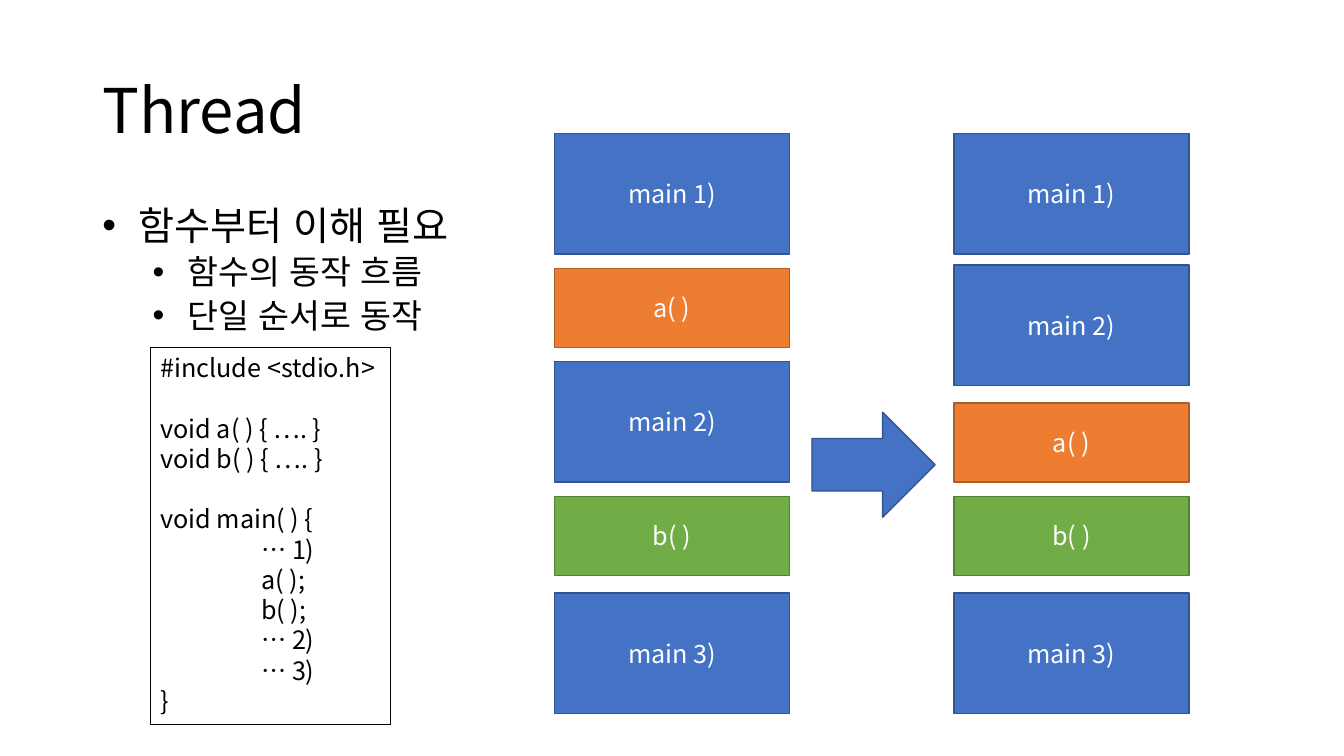
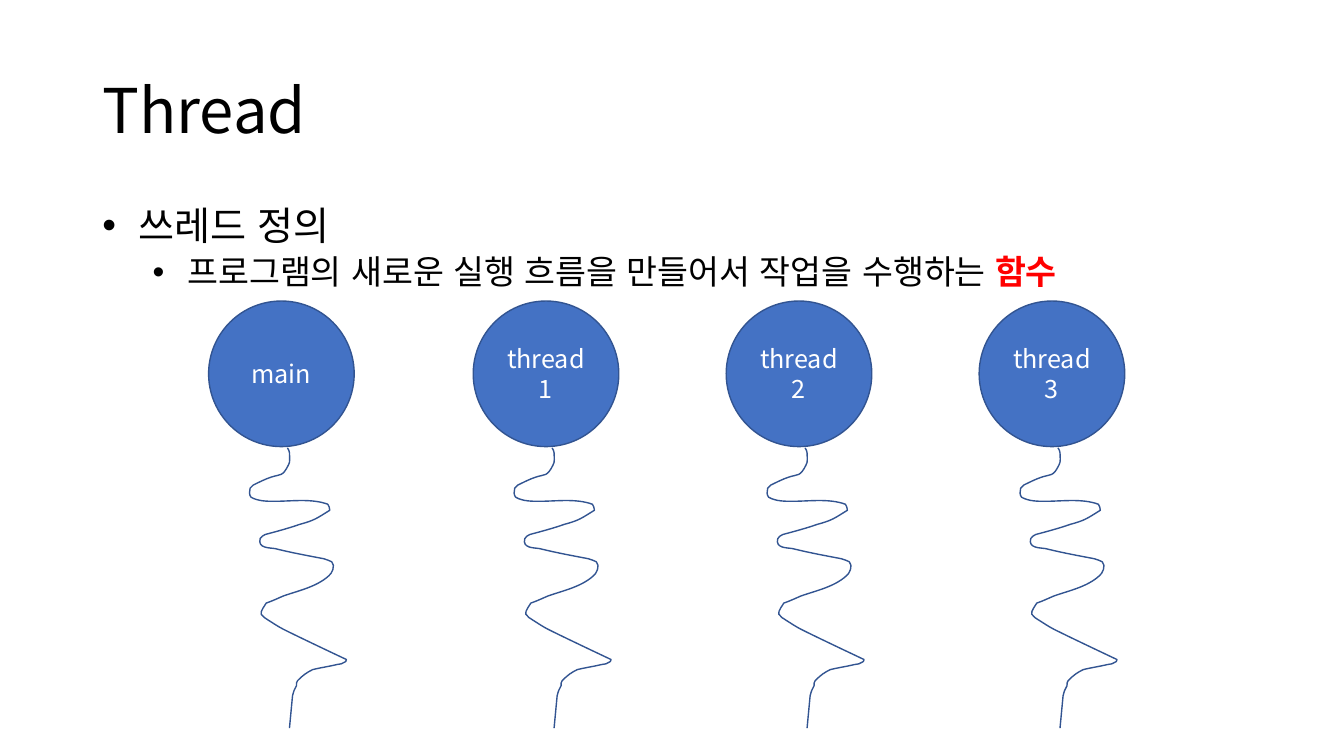
from pptx import Presentation
from pptx.dml.color import RGBColor
from pptx.enum.lang import MSO_LANGUAGE_ID as Lang
from pptx.enum.shapes import MSO_SHAPE as Kind
from pptx.enum.text import MSO_ANCHOR as Anchor, MSO_AUTO_SIZE as Auto, PP_ALIGN as Align
from pptx.oxml.ns import qn
from pptx.util import Pt
from lxml.etree import SubElement as sub

FONT = "Noto Sans CJK KR"
BLACK = RGBColor(0x00, 0x00, 0x00)
WHITE = RGBColor(0xFF, 0xFF, 0xFF)
RED = RGBColor(0xFF, 0x00, 0x00)
BLUE = RGBColor(0x44, 0x72, 0xC4)
NAVY = RGBColor(0x32, 0x54, 0x91)
ORANGE = RGBColor(0xED, 0x7D, 0x31)
BROWN = RGBColor(0xAF, 0x5C, 0x24)
GREEN = RGBColor(0x70, 0xAD, 0x47)
MOSS = RGBColor(0x53, 0x80, 0x35)

TITLE = "Thread"
LEVELS = [(28, 18, 10), (24, 54, 5)]
FLOW = [
    (0, [(" 함수부터 이해 필요", False)]),
    (1, [(" 함수의 동작 흐름", False)]),
    (1, [(" 단일 순서로 동작", False)]),
]
MEANING = [
    (0, [(" 쓰레드 정의", False)]),
    (1, [(" 프로그램의 새로운 실행 흐름을 만들어서 작업을 수행하는 ", False), ("함수", True)]),
]

LINE = 21.6
TAB = 72
CODE = [
    ("#include <stdio.h>", 0, 0),
    ("void a( ) { …. }", 0, 1),
    ("void b( ) { …. }", 0, 0),
    ("void main( ) {", 0, 1),
    ("… 1)", 1, 0),
    ("a( );", 1, 0),
    ("b( );", 1, 0),
    ("… 2)", 1, 0),
    ("… 3)", 1, 0),
    ("}", 0, 0),
]

BLOCKS = {
    "main 1)": (86, BLUE, NAVY),
    "main 2)": (86, BLUE, NAVY),
    "main 3)": (86, BLUE, NAVY),
    "a( )": (56.4, ORANGE, BROWN),
    "b( )": (56.4, GREEN, MOSS),
}
STACKS = [
    (396, [("main 1)", 95.5), ("a( )", 191.7), ("main 2)", 258.2), ("b( )", 354.6), ("main 3)", 423.6)]),
    (681.3, [("main 1)", 95.5), ("a( )", 287.8), ("main 2)", 189.3), ("b( )", 354.6), ("main 3)", 423.6)]),
]

BALL = 104
BALLS = [("main", 149)] + [(f"thread{i + 1}", 338 + 180.7 * i) for i in range(3)]
START = (27.4, 0)
CURVES = [
    (28.1, 1.4, 28.8, 2.2, 28.8, 3.6),
    (28.8, 6.5, 29.5, 10.1, 28.1, 12.2),
    (23.8, 20.9, 22.3, 18.7, 15.8, 20.9),
    (11.5, 22.3, 7.2, 24.5, 2.9, 26.6),
    (2.2, 27.4, 1.4, 28.1, 0.7, 28.8),
    (0, 31, 0, 33.8, 1.4, 35.3),
    (6.5, 38.2, 13, 38.2, 18, 38.2),
    (30.2, 38.2, 44.6, 36, 56.2, 40.3),
    (57.6, 41, 56.9, 43.2, 57.6, 44.6),
    (48.2, 50.4, 46.8, 51.8, 36, 54.7),
    (28.1, 57.6, 11.5, 61.9, 11.5, 61.9),
    (10.1, 62.6, 8.6, 63.4, 7.9, 64.8),
    (5.8, 72, 15.1, 71.3, 18.7, 72),
    (30.2, 74.9, 41.8, 77, 53.3, 79.2),
    (55.4, 79.9, 57.6, 80.6, 59, 81.4),
    (61.9, 84.2, 59, 90, 56.9, 91.4),
    (48.2, 99.4, 34.6, 102.2, 24.5, 105.8),
    (20.9, 107.3, 16.6, 109.4, 12.2, 110.9),
    (11.5, 112.3, 7.9, 116.6, 8.6, 118.8),
    (10.1, 121, 11.5, 121.7, 13.7, 123.1),
    (17.3, 125.3, 20.2, 127.4, 24.5, 129.6),
    (38.9, 136.8, 69.5, 151.2, 69.5, 151.2),
    (69.1, 151.9, 69.1, 152.6, 69.1, 152.6),
    (67, 154.1, 64.8, 154.8, 62.6, 154.8),
    (56.9, 156.2, 51.1, 157, 45.4, 158.4),
    (41, 160.6, 38.9, 162, 34.6, 166.3),
    (33.8, 167, 33.8, 168.5, 33.8, 169.9),
    (32.4, 172.1, 31.7, 174.2, 31, 177.1),
]
END = (28.8, 200.2)


def add_run(para, text, size, color, bold=False):
    run = para.add_run()
    run.text = text
    font = run.font
    font.size, font.name, font.bold = Pt(size), FONT, bold
    font.color.rgb = color
    font.language_id = Lang.KOREAN
    sub(run._r.get_or_add_rPr(), qn("a:ea"), typeface=FONT)


def next_para(frame, index):
    return frame.add_paragraph() if index else frame.paragraphs[0]


def indent(para, left, hang=0):
    props = para._p.get_or_add_pPr()
    props.set("marL", str(Pt(left)))
    props.set("indent", str(Pt(-hang)))
    return props


def add_box(slide, x, y, w, h):
    frame = slide.shapes.add_textbox(Pt(x), Pt(y), Pt(w), Pt(h)).text_frame
    frame.word_wrap = True
    return frame


def style(shape, fill, line, width=1):
    shape.shadow.inherit = False
    if fill is None:
        shape.fill.background()
    else:
        shape.fill.solid()
        shape.fill.fore_color.rgb = fill
    shape.line.color.rgb = line
    shape.line.width = Pt(width)


def add_shape(slide, kind, x, y, w, h, fill, line, label=""):
    shape = slide.shapes.add_shape(kind, Pt(x), Pt(y), Pt(w), Pt(h))
    style(shape, fill, line)
    if label:
        frame = shape.text_frame
        frame.vertical_anchor = Anchor.MIDDLE
        para = frame.paragraphs[0]
        para.alignment = Align.CENTER
        add_run(para, label, 18, WHITE)


def add_slide(deck, items):
    slide = deck.slides.add_slide(deck.slide_layouts[6])
    head = add_box(slide, 66, 28.8, 828, 104.4)
    head.vertical_anchor = Anchor.MIDDLE
    head.paragraphs[0].line_spacing = 0.9
    add_run(head.paragraphs[0], TITLE, 44, BLACK)
    body = add_box(slide, 66, 144, 828, 342.6)
    for i, (level, runs) in enumerate(items):
        size, left, gap = LEVELS[level]
        para = next_para(body, i)
        para.level = level
        para.line_spacing = 0.9
        para.space_before = Pt(gap)
        props = indent(para, left, 18)
        sub(props, qn("a:buFont"), typeface="Arial")
        sub(props, qn("a:buChar"), char="•")
        for text, key in runs:
            add_run(para, text, size, RED if key else BLACK, key)
    return slide


def add_code(slide):
    shape = slide.shapes.add_shape(Kind.RECTANGLE, Pt(107.5), Pt(248.2), Pt(171.5), Pt(269.2))
    style(shape, None, BLACK, 0.75)
    frame = shape.text_frame
    frame.word_wrap = False
    frame.auto_size = Auto.SHAPE_TO_FIT_TEXT
    frame.vertical_anchor = Anchor.TOP
    for i, (text, tabs, gap) in enumerate(CODE):
        para = next_para(frame, i)
        para.alignment = Align.LEFT
        para.space_before = Pt(LINE * gap)
        indent(para, TAB * tabs)
        add_run(para, text, 18, BLACK)


def add_string(slide, x, y):
    dots = [START]
    for curve in CURVES:
        dots += zip(curve[::2], curve[1::2])
    dots = [(Pt(x + dx), Pt(y + dy)) for dx, dy in dots + [END]]
    pen = slide.shapes.build_freeform(*dots[0])
    pen.add_line_segments(dots[1:], close=False)
    shape = pen.convert_to_shape()
    style(shape, None, NAVY)
    lines = list(shape._element.iter(qn("a:lnTo")))
    for i in range(0, 3 * len(CURVES), 3):
        first, *rest = lines[i:i + 3]
        first.tag = qn("a:cubicBezTo")
        for line in rest:
            first.append(line[0])
            line.getparent().remove(line)


def main():
    deck = Presentation()
    deck.slide_width, deck.slide_height = Pt(960), Pt(540)

    flow = add_slide(deck, FLOW)
    add_code(flow)
    for x, stack in STACKS:
        for label, y in stack:
            high, fill, line = BLOCKS[label]
            add_shape(flow, Kind.RECTANGLE, x, y, 168, high, fill, line, label)
    add_shape(flow, Kind.RIGHT_ARROW, 580, 294.5, 88, 75, BLUE, NAVY)

    threads = add_slide(deck, MEANING)
    for label, x in BALLS:
        add_shape(threads, Kind.OVAL, x, 215, BALL, BALL, BLUE, NAVY, label)
        add_string(threads, x + 29, 319.9)

    deck.save("out.pptx")


if __name__ == "__main__":
    main()
